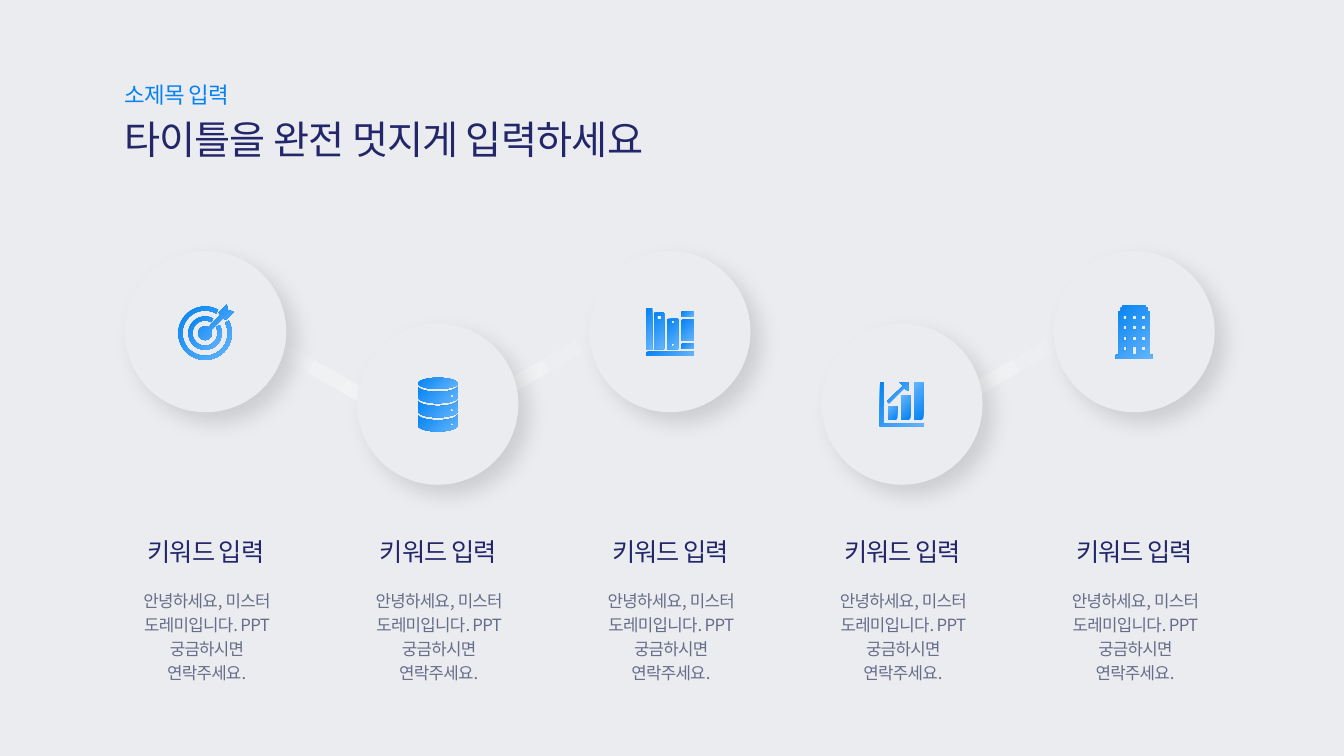
from dataclasses import dataclass
from math import cos, radians, sin

from lxml import etree
from pptx import Presentation
from pptx.dml.color import RGBColor
from pptx.enum.shapes import MSO_SHAPE
from pptx.enum.text import MSO_AUTO_SIZE, PP_ALIGN
from pptx.oxml.ns import qn
from pptx.shapes.autoshape import Shape
from pptx.slide import Slide
from pptx.util import Pt

ROUNDED = MSO_SHAPE.ROUNDED_RECTANGLE
OVAL = MSO_SHAPE.OVAL
FIT = MSO_AUTO_SIZE.SHAPE_TO_FIT_TEXT
LEFT, CENTER = PP_ALIGN.LEFT, PP_ALIGN.CENTER

FONT = "Noto Sans CJK KR"
COLORS = {
    "ground": "EBECF0",
    "bar_end": "F2F3F5",
    "bar_faint": "ECEDF1",
    "blue": "0583F2",
    "sky": "64B5FC",
    "navy": "232669",
    "gray": "666D88",
    "shadow": "000000",
}

STEP = 165.8
DIAMETER = 115.2
FIRST_CENTER = 146.9
HIGH, LOW = 236.9, 288.7

Contour = list[tuple[float, float]]


@dataclass
class Part:
    contours: list[Contour]
    rotation: float = 0


@dataclass
class Step:
    keyword: str
    body: str
    center_y: float
    icon: list[Part]


@dataclass
class Bar:
    rotation: float
    flipped: bool
    end_color: str


@dataclass
class TextStyle:
    size: float
    color: str
    spacing: float
    align: PP_ALIGN = LEFT
    line_spacing: float = 1.0
    wrap: bool = False


SUBTITLE = TextStyle(16, "blue", -0.5)
TITLE = TextStyle(28, "navy", -0.5, line_spacing=1.1)
KEYWORD = TextStyle(18, "navy", -0.7, CENTER)
BODY = TextStyle(12, "gray", -0.5, CENTER, 1.2, True)


def box(left: float, top: float, right: float, bottom: float) -> Contour:
    return [(left, top), (right, top), (right, bottom), (left, bottom)]


def arc(x: float, y: float, rx: float, ry: float, start: float = 0, end: float = 360) -> Contour:
    count = 40
    angles = [radians(start + (end - start) * i / count) for i in range(count + 1)]
    return [(x + rx * cos(angle), y + ry * sin(angle)) for angle in angles]


def ring(outer: float, inner: float) -> Part:
    return Part([arc(-0.4, 1.1, outer, outer, -28, 299) + arc(-0.4, 1.1, inner, inner, 299, -28)])


def target_icon() -> list[Part]:
    dart = [(15.8, -15.1), (15.1, -19.4), (9.4, -13.7), (10.1, -11.5)]
    dart += arc(-0.4, 1.1, 4.9, 4.9, -59, -387)
    dart += [(12.2, -9.4), (14.4, -8.6), (20.2, -14.4)]
    return [Part([dart]), ring(19.1, 16.2), ring(11.9, 9)]


def database_icon() -> list[Part]:
    parts = [Part([arc(0, -14.8, 14.1, 4)])]
    for i in range(3):
        top = -13 + 10.1 * i
        band = arc(0, top, 14.1, 4.3, 180, 0) + arc(0, top + 8, 14.1, 4.3, 0, 180)
        parts.append(Part([band, arc(10.1, top + 7.2, 1.1, 1.1)]))
    return parts


def books_icon() -> list[Part]:
    plain = [(-17, 14.4, 17, 17.3), (-17, -16.6, -12.7, 12.4), (8.2, 8.6, 17, 12.4),
             (8.2, -8.6, 17, 6.5), (8.2, -14.4, 17, -10.8)]
    dotted = [box(-1.9, -9.4, 6, 12.4), arc(2.1, -6.8, 1.1, 1.1), arc(2.1, 9.4, 1.1, 1.1)]
    labelled = [box(-11.2, -13.7, -4, 12.4), box(-9.1, -11.5, -6.2, -8.6)]
    return [Part([box(*edges)]) for edges in plain] + [Part(dotted), Part(labelled)]


def growth_icon() -> list[Part]:
    axes = [(-12.9, -15.8), (-15.8, -15.8), (-15.8, 15.8), (15.2, 15.8), (15.2, 13.7), (-12.9, 13.7)]
    arrow = [(4.4, -9.4), (4.4, -15.8), (-2.1, -15.8), (0.8, -13), (-10.7, -2.2), (-9.3, -0.7), (1.5, -11.5)]
    columns = [(8.7, -15.8), (-0.6, -6.5), (-10, 1.4)]
    bars = [Part([box(left, top, left + 6.5, 10.8)], 180) for left, top in columns]
    return [Part([axes]), *bars, Part([arrow])]


def building_icon() -> list[Part]:
    right = [(8.3, -18.7), (8.3, -17.3), (9.7, -17.3), (9.7, -14.4), (11.3, -14.4),
             (11.3, 16.6), (13, 16.6), (13, 19.4)]
    contours = [right + [(-x, y) for x, y in reversed(right)]]
    for x in (-6.5, 0, 6.5):
        for row in range(4):
            top = -11.5 + 7.4 * row
            height = 5.8 if x == 0 and row == 3 else 2.9
            contours.append(box(x - 1.4, top, x + 1.4, top + height))
    return [Part(contours)]


def rgb(name: str) -> RGBColor:
    return RGBColor.from_string(COLORS[name])


def fill_gradient(shape: Shape, start: str, end: str, angle: float) -> None:
    shape.shadow.inherit = False
    shape.line.fill.background()
    shape.fill.gradient()
    shape.fill.gradient_angle = angle
    for stop, name in zip(shape.fill.gradient_stops, (start, end)):
        stop.color.rgb = rgb(name)


def add_bar(slide: Slide, left: float, bar: Bar) -> None:
    shape = slide.shapes.add_shape(ROUNDED, Pt(left), Pt(256.3), Pt(103.7), Pt(10.1))
    fill_gradient(shape, "ground", bar.end_color, 0)
    shape.rotation = bar.rotation
    if bar.flipped:
        shape._element.spPr.find(qn("a:xfrm")).set("flipH", "1")


def add_disc(slide: Slide, x: float, y: float) -> None:
    radius = DIAMETER / 2
    shape = slide.shapes.add_shape(OVAL, Pt(x - radius), Pt(y - radius), Pt(DIAMETER), Pt(DIAMETER))
    shape.fill.solid()
    shape.fill.fore_color.rgb = rgb("ground")
    shape.line.fill.background()
    shape.shadow.inherit = False
    effects = shape._element.spPr.find(qn("a:effectLst"))
    shadow = etree.SubElement(effects, qn("a:outerShdw"), blurRad=str(Pt(15)), dist=str(Pt(10)),
                              dir="2700000", algn="tl", rotWithShape="0")
    color = etree.SubElement(shadow, qn("a:srgbClr"), val=COLORS["shadow"])
    etree.SubElement(color, qn("a:alpha"), val="12000")


def add_part(slide: Slide, x: float, y: float, part: Part) -> None:
    contours = [[(Pt(x + dx), Pt(y + dy)) for dx, dy in contour] for contour in part.contours]
    builder = slide.shapes.build_freeform(*contours[0][0])
    builder.add_line_segments(contours[0][1:])
    for contour in contours[1:]:
        builder.move_to(*contour[0])
        builder.add_line_segments(contour[1:])
    shape = builder.convert_to_shape()
    fill_gradient(shape, "blue", "sky", 315)
    shape.rotation = part.rotation


def add_text(slide: Slide, left: float, top: float, width: float, height: float,
             text: str, style: TextStyle) -> None:
    frame = slide.shapes.add_textbox(Pt(left), Pt(top), Pt(width), Pt(height)).text_frame
    frame.margin_left = frame.margin_right = frame.margin_top = frame.margin_bottom = Pt(0)
    frame.word_wrap = style.wrap
    frame.auto_size = FIT
    paragraph = frame.paragraphs[0]
    paragraph.alignment = style.align
    paragraph.line_spacing = style.line_spacing
    run = paragraph.add_run()
    run.text = text
    run.font.size = Pt(style.size)
    run.font.color.rgb = rgb(style.color)
    run.font.name = FONT
    properties = run._r.get_or_add_rPr()
    properties.set("spc", str(round(style.spacing * 100)))
    etree.SubElement(properties, qn("a:ea"), typeface=FONT)


def main() -> None:
    presentation = Presentation()
    presentation.slide_width, presentation.slide_height = Pt(960), Pt(540)
    slide = presentation.slides.add_slide(presentation.slide_layouts[6])
    slide.background.fill.solid()
    slide.background.fill.fore_color.rgb = rgb("ground")

    falling, rising = Bar(30, False, "bar_end"), Bar(330, True, "bar_end")
    for i, bar in enumerate([falling, rising, Bar(30, False, "bar_faint"), rising]):
        add_bar(slide, 169.9 + 168 * i, bar)

    add_text(slide, 89.3, 58.3, 79.2, 19.4, "소제목 입력", SUBTITLE)
    add_text(slide, 88.6, 79.2, 395.3, 37.4, "타이틀을 완전 멋지게 입력하세요", TITLE)

    keyword = "키워드 입력"
    body = "안녕하세요, 미스터 도레미입니다. PPT 궁금하시면 연락주세요."
    icons = [target_icon(), database_icon(), books_icon(), growth_icon(), building_icon()]
    steps = [Step(keyword, body, LOW if i % 2 else HIGH, icon) for i, icon in enumerate(icons)]
    for i, step in enumerate(steps):
        x = FIRST_CENTER + STEP * i
        add_disc(slide, x, step.center_y)
        add_text(slide, x - 44.7, 383, 90, 21.6, step.keyword, KEYWORD)
        add_text(slide, x - 52.6, 419, 106.6, 51.1, step.body, BODY)
        for part in step.icon:
            add_part(slide, x, step.center_y, part)

    presentation.save("out.pptx")


if __name__ == "__main__":
    main()
